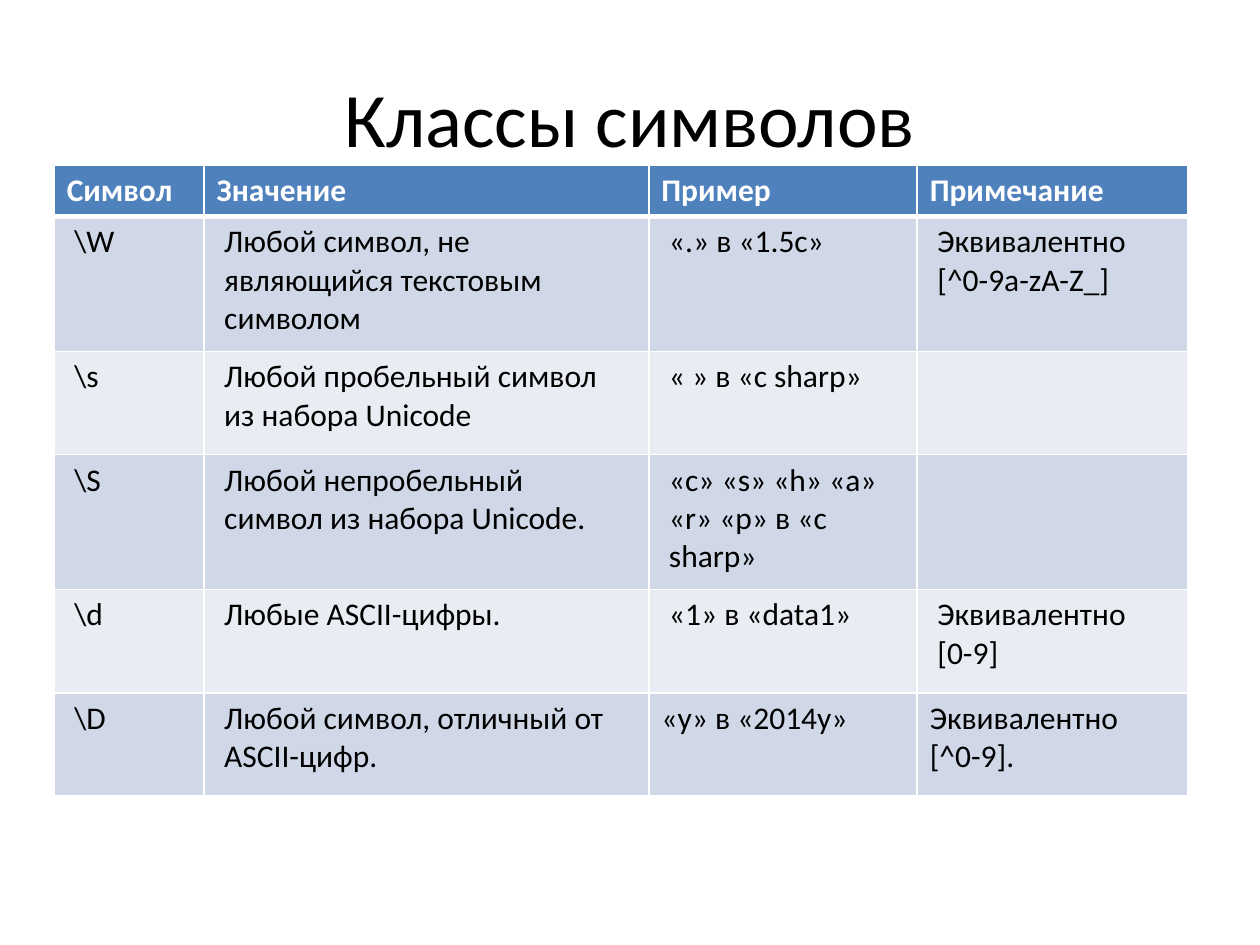
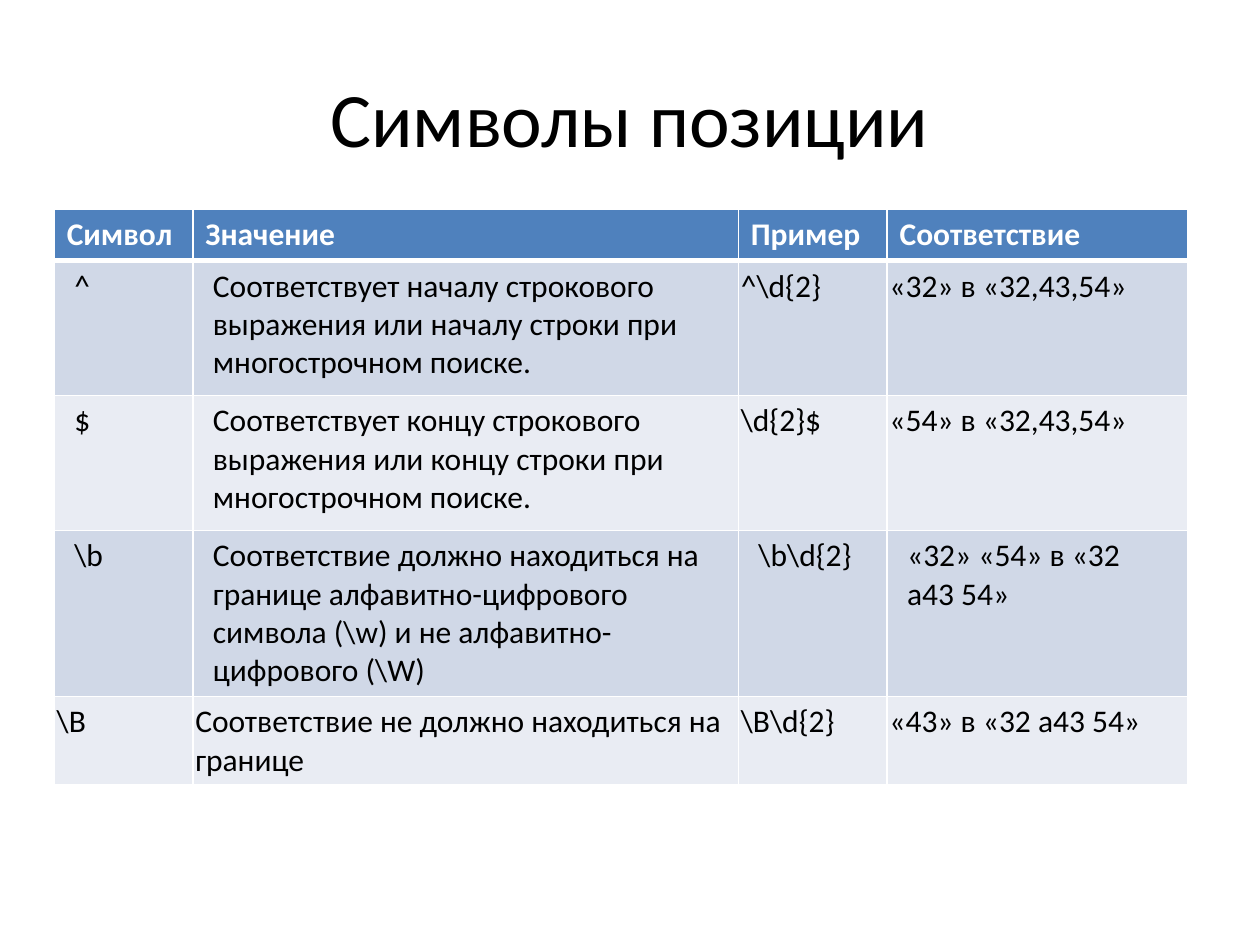
from lxml import etree
from pptx import Presentation
from pptx.dml.color import RGBColor
from pptx.enum.text import MSO_ANCHOR, PP_ALIGN
from pptx.oxml.ns import qn
from pptx.util import Inches, Pt

CENTER = PP_ALIGN.CENTER
MIDDLE = MSO_ANCHOR.MIDDLE

FONT = "Calibri"
COLORS = {
    "text": "000000",
    "header_text": "FFFFFF",
    "header": "4F81BD",
    "odd_row": "D0D8E7",
    "even_row": "E9ECF3",
    "grid": "FFFFFF",
}
GRID_PT, HEADER_RULE_PT = 0.96, 3
TABLE_LEFT, TABLE_WIDTH = 0.43, 9
BASE, WIDE, THIN = 0.1, 0.16, 0.02

SLIDES = [
    {
        "title": "Классы символов",
        "top": 1.31,
        "columns": [1.19, 3.53, 2.13, 2.15],
        "header": ["Символ", "Значение", "Пример", "Примечание"],
        "rows": [
            (1.07, [WIDE] * 4, [r"\W", "Любой символ, не являющийся текстовым символом",
                                "«.» в «1.5с»", "Эквивалентно [^0-9a-zA-Z_]"]),
            (0.82, [WIDE] * 4, [r"\s", "Любой пробельный символ из набора Unicode",
                                "« » в «c sharp»", ""]),
            (1.07, [WIDE] * 4, [r"\S", "Любой непробельный символ из набора Unicode.",
                                "«c» «s» «h» «a» «r» «p» в «c sharp»", ""]),
            (0.82, [WIDE] * 4, [r"\d", "Любые ASCII-цифры.",
                                "«1» в «data1»", "Эквивалентно [0-9]"]),
            (0.82, [WIDE, WIDE, BASE, BASE], [r"\D", "Любой символ, отличный от ASCII-цифр.",
                                              "«y» в «2014y»", "Эквивалентно [^0-9]."]),
        ],
    },
    {
        "title": "Символы позиции",
        "top": 1.66,
        "columns": [1.1, 4.33, 1.18, 2.39],
        "header": ["Символ", "Значение", "Пример", "Соответствие"],
        "rows": [
            (1.07, [WIDE, WIDE, THIN, THIN],
             ["^", "Соответствует началу строкового выражения или началу строки "
                   "при многострочном поиске.",
              r"^\d{2}", "«32» в «32,43,54»"]),
            (1.07, [WIDE, WIDE, THIN, THIN],
             ["$", "Соответствует концу строкового выражения или концу строки "
                   "при многострочном поиске.",
              r"\d{2}$", "«54» в «32,43,54»"]),
            (1.32, [WIDE] * 4,
             [r"\b", "Соответствие должно находиться на границе алфавитно-цифрового "
                     r"символа (\w) и не алфавитно-цифрового (\W)",
              r"\b\d{2}", "«32» «54» в «32 a43 54»"]),
            (0.69, [THIN] * 4,
             [r"\B", "Соответствие не должно находиться на границе",
              r"\B\d{2}", "«43» в «32 a43 54»"]),
        ],
    },
]
HEADER_HEIGHT = 0.41


def color(key):
    return RGBColor.from_string(COLORS[key])


def write(paragraph, text, size, color_key, bold=False):
    run = paragraph.add_run()
    run.text = text
    run.font.name = FONT
    run.font.size = Pt(size)
    run.font.bold = bold
    run.font.color.rgb = color(color_key)


def add_title(slide, text):
    title = slide.shapes.add_textbox(Inches(0.5), Inches(0.3), Inches(9), Inches(1.25))
    frame = title.text_frame
    frame.word_wrap = True
    frame.vertical_anchor = MIDDLE
    frame.paragraphs[0].alignment = CENTER
    write(frame.paragraphs[0], text, 44, "text")


def draw_borders(cell, top, bottom):
    widths = {"a:lnL": GRID_PT, "a:lnR": GRID_PT, "a:lnT": top, "a:lnB": bottom}
    properties = cell._tc.get_or_add_tcPr()
    for side, width in widths.items():
        line = etree.SubElement(properties, qn(side), w=str(int(Pt(width))))
        fill = etree.SubElement(line, qn("a:solidFill"))
        etree.SubElement(fill, qn("a:srgbClr"), val=COLORS["grid"])


def add_symbol_table(slide, content):
    header = (HEADER_HEIGHT, [BASE] * len(content["columns"]), content["header"])
    rows = [header] + content["rows"]
    height = sum(row[0] for row in rows)
    table = slide.shapes.add_table(
        len(rows), len(content["columns"]), Inches(TABLE_LEFT), Inches(content["top"]),
        Inches(TABLE_WIDTH), Inches(height)).table
    for column, width in zip(table.columns, content["columns"]):
        column.width = Inches(width)
    for index, (row_height, insets, texts) in enumerate(rows):
        is_header = index == 0
        fill_key = "header" if is_header else "odd_row" if index % 2 else "even_row"
        table.rows[index].height = Inches(row_height)
        for cell, inset, text in zip(table.rows[index].cells, insets, texts):
            cell.margin_left = cell.margin_right = Inches(inset)
            cell.margin_top = cell.margin_bottom = Inches(0.05)
            draw_borders(cell,
                         HEADER_RULE_PT if index == 1 else GRID_PT,
                         HEADER_RULE_PT if is_header else GRID_PT)
            cell.fill.solid()
            cell.fill.fore_color.rgb = color(fill_key)
            if text:
                write(cell.text_frame.paragraphs[0], text, 18,
                      "header_text" if is_header else "text", is_header)


def main():
    presentation = Presentation()
    presentation.slide_width = Inches(10)
    presentation.slide_height = Inches(7.5)
    blank = presentation.slide_layouts[6]
    for content in SLIDES:
        slide = presentation.slides.add_slide(blank)
        add_title(slide, content["title"])
        add_symbol_table(slide, content)
    presentation.save("out.pptx")


if __name__ == "__main__":
    main()
